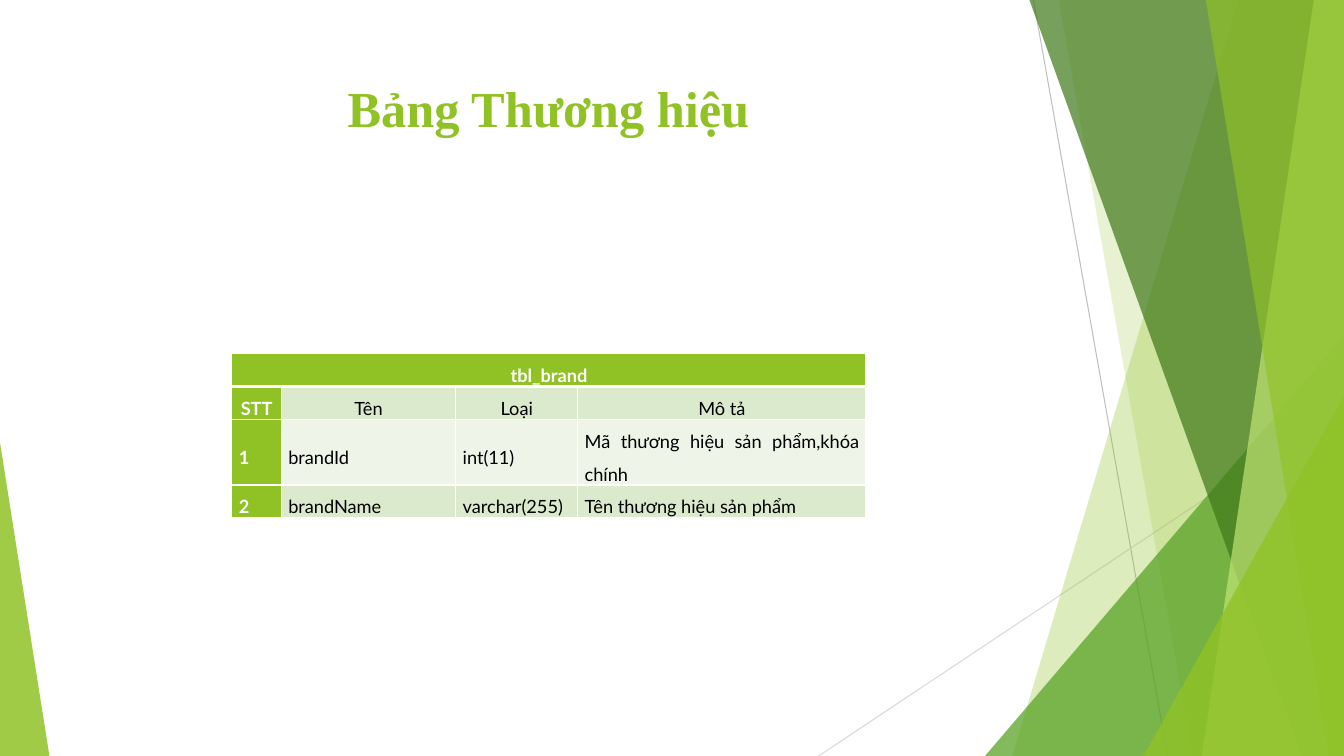
from lxml.etree import SubElement
from pptx import Presentation
from pptx.dml.color import RGBColor
from pptx.enum.shapes import MSO_CONNECTOR, MSO_SHAPE
from pptx.enum.text import MSO_ANCHOR, PP_ALIGN
from pptx.oxml.ns import qn
from pptx.util import Inches, Pt

SLIDE_WIDTH, SLIDE_HEIGHT = 13.33, 7.5
GREEN, WHITE, BLACK = "90C226", "FFFFFF", "000000"
BANDS = ["DBE9CD", "EEF4E8"]
COLUMN_WIDTHS = [0.49, 1.73, 1.21, 2.86]
ROW_HEIGHTS = [0.32, 0.32, 0.65, 0.32]
FIELDS = [
    ["STT", "Tên", "Loại", "Mô tả"],
    ["1", "brandId", "int(11)", "Mã thương hiệu sản phẩm,khóa chính"],
    ["2", "brandName", "varchar(255)", "Tên thương hiệu sản phẩm"],
]


def color(value):
    """Turn a hex string into a colour."""
    return RGBColor.from_string(value)


def paint(shape, fill, opacity):
    """Give a shape a translucent fill without line or shadow."""
    shape.shadow.inherit = False
    shape.line.fill.background()
    shape.fill.solid()
    shape.fill.fore_color.rgb = color(fill)
    tint = shape.element.spPr.find(qn("a:solidFill")).find(qn("a:srgbClr"))
    SubElement(tint, qn("a:alpha")).set("val", str(opacity * 1000))


def add_ray(slide, start, end, stroke):
    """Draw a thin line between two points."""
    ray = slide.shapes.add_connector(
        MSO_CONNECTOR.STRAIGHT, *map(Inches, start + end))
    ray.line.color.rgb = color(stroke)
    ray.line.width = Pt(0.75)
    SubElement(ray.element.spPr, qn("a:effectLst"))


def add_facet(slide, box, top_left, bottom_left, fill, opacity):
    """Draw a facet that reaches from two points to the right side of the box."""
    left, top, width, height = box
    right, bottom = left + width, top + height
    outline = [(right, top), (right, bottom), (left + bottom_left, bottom)]
    builder = slide.shapes.build_freeform(Inches(left + top_left), Inches(top))
    builder.add_line_segments([(Inches(x), Inches(y)) for x, y in outline])
    paint(builder.convert_to_shape(), fill, opacity)


def add_corner(slide, box, apex, fill, opacity):
    """Draw a right triangle filling the box, its apex at 0 left or 1 right."""
    corner = slide.shapes.add_shape(
        MSO_SHAPE.ISOSCELES_TRIANGLE, *map(Inches, box))
    corner.adjustments[0] = apex
    paint(corner, fill, opacity)


def add_right_facets(slide, box):
    """Draw the layered facets on the right side."""
    left, top, width, height = box
    right, bottom = left + width, top + height

    def corner_box(corner_width, corner_height):
        return right - corner_width, bottom - corner_height, corner_width, corner_height

    add_ray(slide, (left + 2.13, top), (left + 3.46, bottom), "BFBFBF")
    add_ray(slide, (right, top + 4.03), (left, bottom), "D9D9D9")
    add_facet(slide, box, 4.16, 1.92, GREEN, 30)
    add_facet(slide, box, 2.38, 3.71, GREEN, 20)
    add_corner(slide, corner_box(3.56, 4.17), 1, "54A021", 72)
    add_facet(slide, box, 2.09, 4.79, "3F7819", 70)
    add_facet(slide, box, 4.91, 3.8, "C0E474", 70)
    add_facet(slide, box, 3.84, 5.06, GREEN, 65)
    add_corner(slide, corner_box(1.99, 3.57), 1, GREEN, 80)


def add_title(slide, box):
    """Write the slide heading."""
    heading = slide.shapes.add_textbox(*map(Inches, box)).text_frame
    heading.word_wrap = True
    heading.margin_top = Inches(0.1)
    heading.text = "Bảng Thương hiệu"
    line = heading.paragraphs[0]
    line.alignment = PP_ALIGN.CENTER
    font = line.runs[0].font
    font.name, font.size, font.bold = "Times New Roman", Pt(36), True
    font.color.rgb = color(GREEN)


def add_borders(cell, bottom_width):
    """Put white borders around a cell."""
    properties = cell._tc.get_or_add_tcPr()
    for side, width in [("L", 1), ("R", 1), ("T", 1), ("B", bottom_width)]:
        border = SubElement(properties, qn(f"a:ln{side}"), w=str(Pt(width)))
        SubElement(SubElement(border, qn("a:solidFill")), qn("a:srgbClr"), val=WHITE)


def fill_cell(cell, text, fill, emphasized, alignment, bottom_width=1):
    """Write and format one table cell."""
    add_borders(cell, bottom_width)
    cell.fill.solid()
    cell.fill.fore_color.rgb = color(fill)
    cell.margin_left = cell.margin_right = Inches(0.07)
    cell.margin_top = cell.margin_bottom = 0
    cell.vertical_anchor = MSO_ANCHOR.MIDDLE
    cell.text_frame.text = text
    paragraph = cell.text_frame.paragraphs[0]
    paragraph.alignment = alignment
    paragraph.line_spacing = 1.5
    font = paragraph.font
    for run in paragraph.runs:
        font = run.font
    font.name, font.size, font.bold = "Lato", Pt(13), emphasized
    font.color.rgb = color(WHITE if emphasized else BLACK)


def add_brand_table(slide, left, top):
    """Build the table of brand fields."""
    table = slide.shapes.add_table(
        len(ROW_HEIGHTS), len(COLUMN_WIDTHS), Inches(left), Inches(top),
        Inches(sum(COLUMN_WIDTHS)), Inches(sum(ROW_HEIGHTS))).table
    table.horz_banding = False
    for column, width in zip(table.columns, COLUMN_WIDTHS):
        column.width = Inches(width)
    for row, height in zip(table.rows, ROW_HEIGHTS):
        row.height = Inches(height)
    table.cell(0, 0).merge(table.cell(0, len(COLUMN_WIDTHS) - 1))
    for c in range(len(COLUMN_WIDTHS)):
        name = "" if c else "tbl_brand"
        fill_cell(table.cell(0, c), name, GREEN, True, PP_ALIGN.CENTER, 3)
    for r, field in enumerate(FIELDS):
        alignment = PP_ALIGN.JUSTIFY if r else PP_ALIGN.CENTER
        for c, text in enumerate(field):
            fill = BANDS[r % 2] if c else GREEN
            fill_cell(table.cell(r + 1, c), text, fill, c == 0, alignment)


def main():
    """Build and save the slide."""
    presentation = Presentation()
    presentation.slide_width = Inches(SLIDE_WIDTH)
    presentation.slide_height = Inches(SLIDE_HEIGHT)
    slide = presentation.slides.add_slide(presentation.slide_layouts[6])
    add_right_facets(slide, (8.12, 0, SLIDE_WIDTH - 8.12, SLIDE_HEIGHT))
    add_corner(slide, (0, 4.39, 0.49, 3.11), 0, GREEN, 85)
    add_title(slide, (0.74, 0.67, 9.4, 1.44))
    add_brand_table(slide, 2.3, 3.51)
    presentation.save("out.pptx")


if __name__ == "__main__":
    main()
